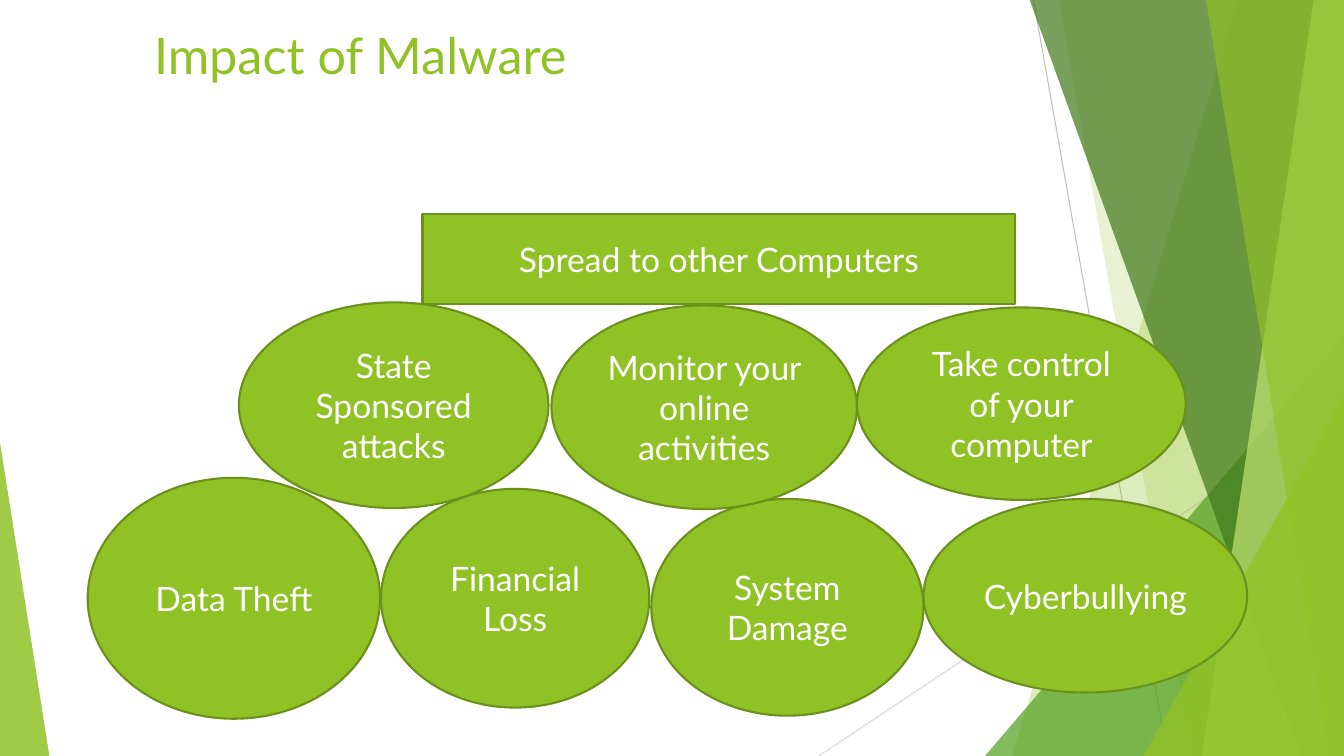
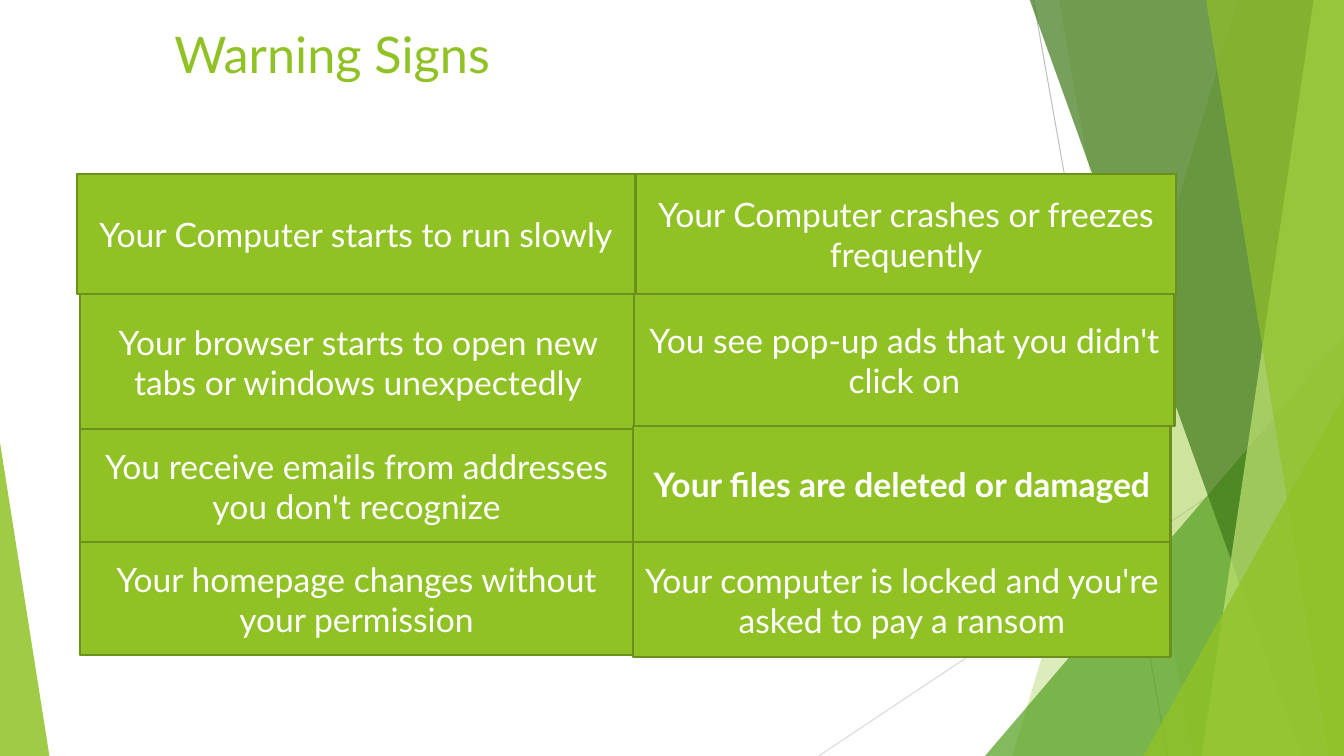
"""Build two slides on malware: its impact and its warning signs."""
from lxml import etree
from pptx import Presentation
from pptx.dml.color import RGBColor
from pptx.enum.shapes import MSO_CONNECTOR, MSO_SHAPE
from pptx.enum.text import MSO_ANCHOR, PP_ALIGN
from pptx.oxml.ns import qn
from pptx.util import Pt

STRAIGHT = MSO_CONNECTOR.STRAIGHT
RECT, OVAL, TRIANGLE = MSO_SHAPE.RECTANGLE, MSO_SHAPE.OVAL, MSO_SHAPE.ISOSCELES_TRIANGLE
TOP, MIDDLE = MSO_ANCHOR.TOP, MSO_ANCHOR.MIDDLE
LEFT, CENTER = PP_ALIGN.LEFT, PP_ALIGN.CENTER

PX = 9144
WIDTH, HEIGHT = 1333, 750
FONT = "Lato"
COLORS = {
    "green": "90C226", "outline": "6B901C", "mid": "54A021", "dark": "3F7819",
    "pale": "C0E474", "white": "FFFFFF", "gray": "BFBFBF", "light_gray": "D9D9D9",
}

RAYS = [((1025, 0, 1158, 750), "gray"), ((1333, 403, 812, 750), "light_gray")]
# kind, geometry, colour, opacity
FACETS = [
    ("band", (1228, 1004), "green", 30),
    ("band", (1050, 1183), "green", 20),
    ("triangle", (977, 333, 356, 1), "mid", 72),
    ("band", (1021, 1291), "dark", 70),
    ("band", (1303, 1192), "pale", 70),
    ("band", (1196, 1318), "green", 65),
    ("triangle", (1134, 393, 199, 1), "green", 80),
    ("triangle", (0, 439, 49, 0), "green", 85),
]

IMPACT_TITLE = ("Impact of Malware", (143, 19, 871, 193))
IMPACTS = [
    ("Data Theft", OVAL, (87, 474, 290, 239)),
    ("Financial Loss", OVAL, (378, 485, 266, 217)),
    ("System Damage", OVAL, (646, 495, 270, 215)),
    ("State Sponsored attacks", OVAL, (237, 300, 307, 204)),
    ("Monitor your online activities", OVAL, (547, 303, 303, 202)),
    ("Cyberbullying", OVAL, (916, 495, 321, 192)),
    ("Take control of your computer", OVAL, (850, 305, 326, 191)),
    ("Spread to other Computers", RECT, (419, 212, 588, 90)),
]

SIGNS_TITLE = ("Warning Signs", (163, 18, 851, 77))
SIGNS_TOP = 173
SIGN_COLUMNS = [
    [
        ("Your Computer starts to run slowly", 76, 554, 119, False),
        ("Your browser starts to open new tabs or windows unexpectedly", 79, 552, 134, False),
        ("You receive emails from addresses you don't recognize", 79, 549, 112, False),
        ("Your homepage changes without your permission", 79, 549, 112, False),
    ],
    [
        ("Your Computer crashes or freezes frequently", 631, 535, 119, False),
        ("You see pop-up ads that you didn't click on", 629, 536, 131, False),
        ("Your files are deleted or damaged", 628, 533, 115, True),
        ("Your computer is locked and you're asked to pay a ransom", 628, 533, 114, False),
    ],
]


def px(*values):
    return [v * PX for v in values]


def rgb(name):
    return RGBColor.from_string(COLORS[name])


def write(sp, text, size=24, color="white", bold=False, align=CENTER, anchor=MIDDLE):
    tf = sp.text_frame
    tf.word_wrap = True
    tf.vertical_anchor = anchor
    p = tf.paragraphs[0]
    p.alignment = align
    r = p.add_run()
    r.text = text
    r.font.name, r.font.size, r.font.bold = FONT, Pt(size), bold
    r.font.color.rgb = rgb(color)


def paint(sp, color, opacity=100, outline=None):
    sp.shadow.inherit = False
    sp.fill.solid()
    sp.fill.fore_color.rgb = rgb(color)
    if opacity < 100:
        fill = sp._element.spPr.find(qn("a:solidFill"))
        etree.SubElement(fill[0], qn("a:alpha"), val=str(opacity * 1000))
    if outline:
        sp.line.color.rgb = rgb(outline)
        sp.line.width = Pt(1.5)
    else:
        sp.line.fill.background()


def add_ray(s, ends, color):
    line = s.shapes.add_connector(STRAIGHT, *px(*ends))
    line.line.color.rgb = rgb(color)
    line.line.width = Pt(0.75)
    etree.SubElement(line._element.spPr, qn("a:effectLst"))


def add_band(s, top_x, bottom_x):
    builder = s.shapes.build_freeform(top_x, -1, scale=PX)
    builder.add_line_segments([(WIDTH, -1), (WIDTH, HEIGHT), (bottom_x, HEIGHT)])
    return builder.convert_to_shape()


def add_triangle(s, x, y, w, apex):
    sp = s.shapes.add_shape(TRIANGLE, *px(x, y, w, HEIGHT - y))
    sp.adjustments[0] = apex
    return sp


def add_slide(prs, title, box):
    s = prs.slides.add_slide(prs.slide_layouts[6])
    for ends, color in RAYS:
        add_ray(s, ends, color)
    for kind, geometry, color, opacity in FACETS:
        add = add_band if kind == "band" else add_triangle
        paint(add(s, *geometry), color, opacity)
    write(s.shapes.add_textbox(*px(*box)), title, size=36, color="green",
          align=LEFT, anchor=TOP)
    return s


def add_label(s, text, shape, box, bold=False):
    sp = s.shapes.add_shape(shape, *px(*box))
    paint(sp, "green", outline="outline")
    write(sp, text, bold=bold)


def main():
    prs = Presentation()
    prs.slide_width, prs.slide_height = px(WIDTH, HEIGHT)

    s = add_slide(prs, *IMPACT_TITLE)
    for text, shape, box in IMPACTS:
        add_label(s, text, shape, box)

    s = add_slide(prs, *SIGNS_TITLE)
    for column in SIGN_COLUMNS:
        y = SIGNS_TOP
        for text, x, w, h, bold in column:
            add_label(s, text, RECT, (x, y, w, h), bold)
            y += h

    prs.save("out.pptx")


if __name__ == "__main__":
    main()
